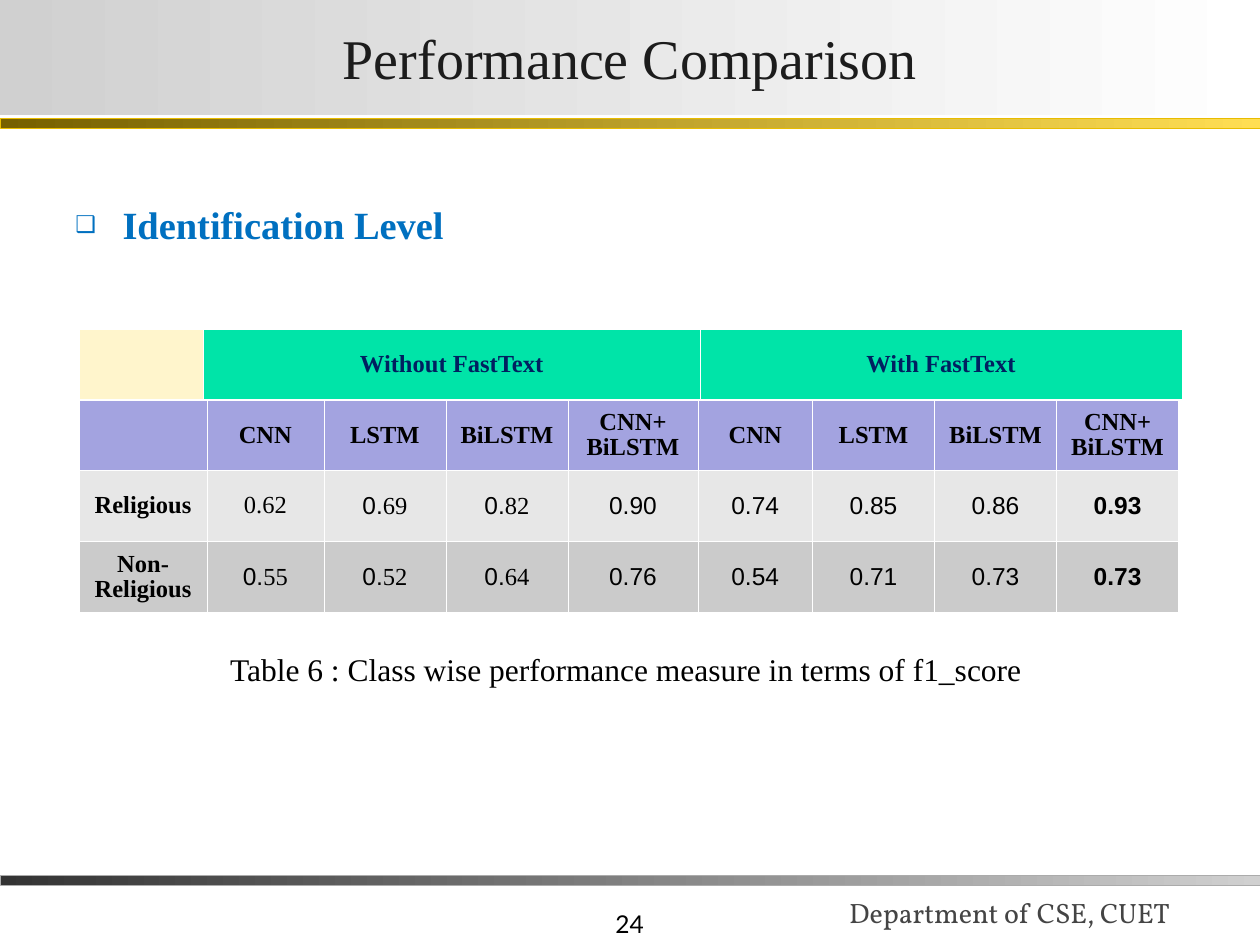
from pptx import Presentation, util as u
from pptx.dml.color import RGBColor
from pptx.enum import shapes, text
from pptx.oxml import parse_xml
from pptx.oxml.ns import nsdecls

COLORS = {
    "ink": "000000", "title": "1C1C1C", "heading": "0070C0", "footer": "444444",
    "group": "002060", "group_fill": "00E4A8", "corner": "FFF5CC", "models": "A3A3E0",
    "light": "E7E7E7", "dark": "CBCBCB", "white": "FFFFFF", "silver": "D0D0D0",
    "charcoal": "333333", "gray_line": "ABABAB", "bronze": "766000",
    "gold": "FFDE53", "gold_line": "E8BC00",
}
SERIF, SANS = "Times New Roman", "Arial"
LEFT, CENTER, RIGHT = text.PP_ALIGN.LEFT, text.PP_ALIGN.CENTER, text.PP_ALIGN.RIGHT
TOP, MIDDLE, BOTTOM = text.MSO_ANCHOR.TOP, text.MSO_ANCHOR.MIDDLE, text.MSO_ANCHOR.BOTTOM


def rgb(key):
    return RGBColor.from_string(COLORS[key])


class SlideBuilder:
    """Hold the text style and the current slide, and add each kind of element."""

    base = {"name": SERIF, "size": u.Pt(14), "bold": False}

    def __init__(self, slide):
        self.slide = slide

    def words(self, paragraph, wording, color="ink", **style):
        run = paragraph.add_run()
        run.text = wording
        for key, value in {**self.base, **style}.items():
            setattr(run.font, key, value)
        run.font.color.rgb = rgb(color)

    def frame(self, holder, anchor, margins=(0.25, 0.13)):
        side, edge = (u.Cm(m) for m in margins)
        layout = {"word_wrap": True, "auto_size": text.MSO_AUTO_SIZE.NONE,
                  "vertical_anchor": anchor, "margin_left": side, "margin_right": side,
                  "margin_top": edge, "margin_bottom": edge}
        for key, value in layout.items():
            setattr(holder.text_frame, key, value)
        return holder.text_frame.paragraphs[0]

    def place(self, holder, box):
        for key, value in zip(("left", "top", "width", "height"), box):
            setattr(holder, key, u.Cm(value))

    def gradient(self, shape, start, end):
        shape.fill.gradient()
        shape.fill.gradient_angle = 0
        for stop, key, position in zip(shape.fill.gradient_stops, (start, end), (0, 1)):
            stop.color.rgb = rgb(key)
            stop.position = position

    def title(self, wording, box):
        heading = self.slide.shapes.title
        self.place(heading, box)
        self.gradient(heading, "silver", "white")
        paragraph = self.frame(heading, MIDDLE, (0.05, 0.03))
        paragraph.alignment = CENTER
        self.words(paragraph, wording, "title", size=u.Pt(32))

    def bullet(self, wording, box):
        body = self.slide.placeholders[1]
        self.place(body, box)
        paragraph = self.frame(body, MIDDLE)
        properties = paragraph._p.get_or_add_pPr()
        properties.set("marL", str(u.Cm(0.95)))
        properties.set("indent", str(-u.Cm(0.95)))
        properties.append(parse_xml(
            f'<a:buClr {nsdecls("a")}><a:srgbClr val="{COLORS["heading"]}"/></a:buClr>'))
        for tag, key, value in (("buSzPct", "val", "60000"), ("buChar", "char", "❑")):
            properties.append(parse_xml(f'<a:{tag} {nsdecls("a")} {key}="{value}"/>'))
        paragraph.space_before = u.Pt(0)
        self.words(paragraph, wording, "heading", size=u.Pt(22), bold=True)

    def label(self, wording, box, anchor=TOP, align=LEFT, color="ink", **style):
        holder = self.slide.shapes.add_textbox(*map(u.Cm, box))
        paragraph = self.frame(holder, anchor)
        paragraph.alignment = align
        self.words(paragraph, wording, color, **style)

    def bar(self, top, start, end, edge):
        strip = self.slide.shapes.add_shape(
            shapes.MSO_SHAPE.RECTANGLE, *map(u.Cm, (0, top, 25.4, 0.2)))
        strip.shadow.inherit = False
        self.gradient(strip, start, end)
        strip.line.color.rgb = rgb(edge)
        strip.line.width = u.Pt(0.25)

    def table(self, row_count, widths, height):
        grid = self.slide.shapes.add_table(
            row_count, len(widths), *map(u.Cm, (1.6, 6.63, sum(widths), height * row_count))).table
        grid.first_row = grid.horz_banding = False
        for column, width in zip(grid.columns, widths):
            column.width = u.Cm(width)
        for row in grid.rows:
            row.height = u.Cm(height)
        return grid

    def cell(self, cell, fill, lines=(), color="ink", bold=False, thick=None):
        cell.fill.solid()
        cell.fill.fore_color.rgb = rgb(fill)
        cell.vertical_anchor = MIDDLE
        properties = cell._tc.get_or_add_tcPr()
        for index, side in enumerate("LRTB"):
            width = u.Pt(1.47 if side == thick else 0.45)
            properties.insert(index, parse_xml(
                f'<a:ln{side} {nsdecls("a")} w="{width}"><a:solidFill>'
                f'<a:srgbClr val="{COLORS["white"]}"/></a:solidFill></a:ln{side}>'))
        for index, runs in enumerate(lines):
            frame = cell.text_frame
            paragraph = frame.add_paragraph() if index else frame.paragraphs[0]
            paragraph.alignment = CENTER
            paragraph.line_spacing = 0.95
            for part, font in runs:
                self.words(paragraph, part, color, name=font, bold=bold)


def serif_lines(wording):
    return [[(line, SERIF)] for line in wording.split("\n") if line]


def score_line(score):
    sans, _, serif = score.partition("|")
    return [[(part, font) for part, font in ((sans, SANS), (serif, SERIF)) if part]]


def main():
    deck = Presentation()
    deck.slide_width, deck.slide_height = u.Cm(25.4), u.Cm(19.05)
    page = SlideBuilder(deck.slides.add_slide(deck.slide_layouts[1]))

    page.title("Performance Comparison", (0, 0, 25.4, 2.32))
    page.bullet("Identification Level", (1.27, 3.92, 10.03, 1.2))
    page.label("24", (7.95, 17.78, 5.28, 1.27), BOTTOM, RIGHT, name="Lato")
    page.label("Department of CSE, CUET", (16.87, 17.27, 8.74, 1.6), BOTTOM,
               color="footer", name="Vollkorn", size=u.Pt(16))
    page.bar(17.65, "charcoal", "silver", "gray_line")
    page.bar(2.39, "bronze", "gold", "gold_line")

    models = ["CNN", "LSTM", "BiLSTM", "CNN+\nBiLSTM"]
    scores = {
        "Religious": ("light", "|0.62 0.|69 0.|82 0.90 0.74 0.85 0.86 0.93"),
        "Non-\nReligious": ("dark", "0.|55 0.|52 0.|64 0.76 0.54 0.71 0.73 0.73"),
    }
    results = page.table(4, [2.57, 2.36, 2.46, 2.46, 2.62, 2.31, 2.46, 2.46, 2.46], 1.43)
    for column, model in enumerate([""] + models * 2):
        page.cell(results.cell(0, column), "ink", thick="B")
        page.cell(results.cell(1, column), "models", serif_lines(model), bold=True, thick="T")
    for row, (category, (fill, values)) in enumerate(scores.items(), 2):
        page.cell(results.cell(row, 0), fill, serif_lines(category), bold=True)
        for column, score in enumerate(values.split(), 1):
            page.cell(results.cell(row, column), fill, score_line(score), bold=column == 8)

    groups = page.table(1, [2.5, 10.01, 9.72], 1.43)
    page.cell(groups.cell(0, 0), "corner", thick="B")
    for column, group in enumerate(("Without FastText", "With FastText"), 1):
        page.cell(groups.cell(0, column), "group_fill", serif_lines(group), "group", True, "B")

    page.label("Table 6 : Class wise performance measure in terms of f1_score",
               (4.39, 12.98, 16.61, 1.02), size=u.Pt(18))
    deck.save("out.pptx")


if __name__ == "__main__":
    main()
